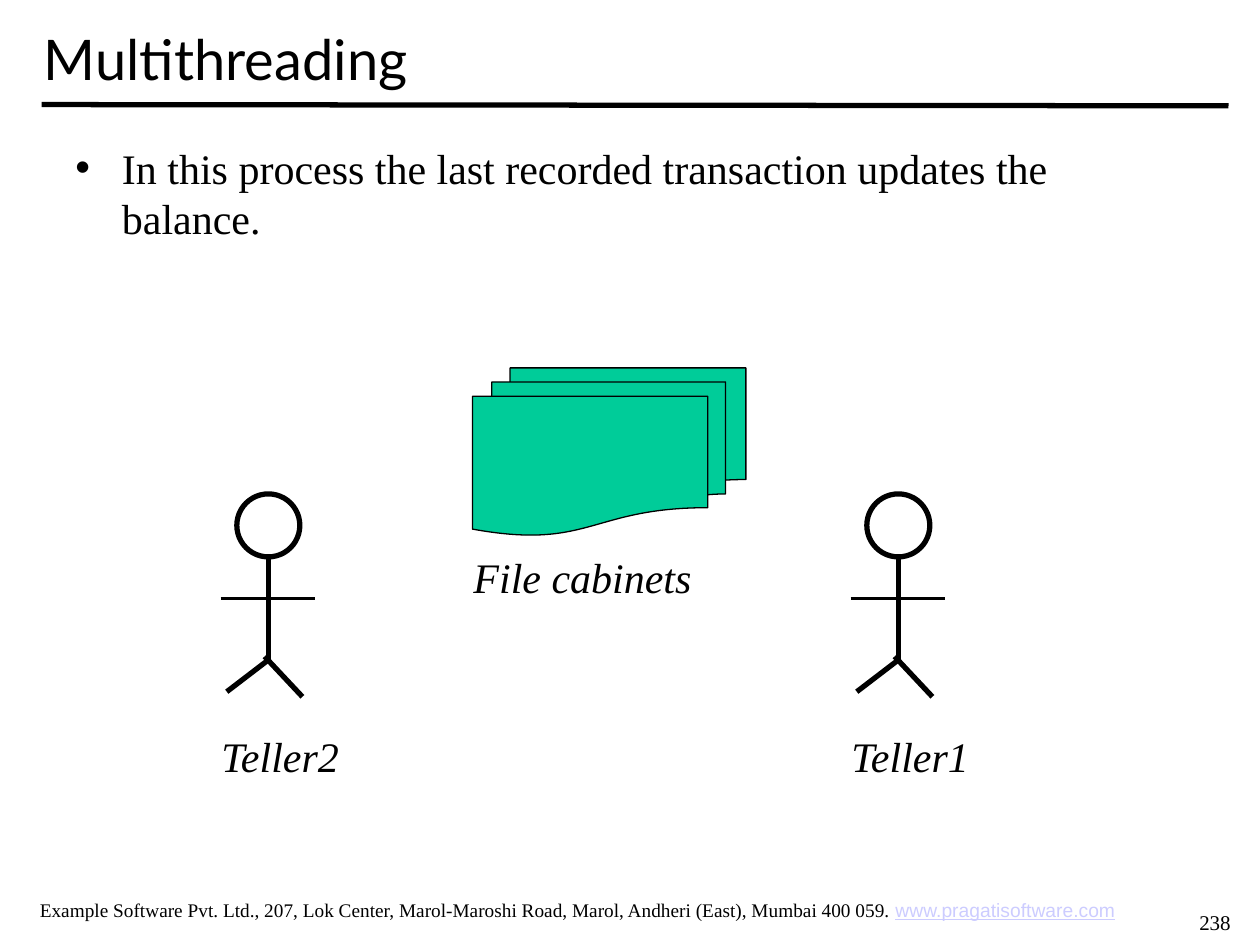
from lxml import etree
from pptx import Presentation
from pptx.dml.color import RGBColor
from pptx.enum.shapes import MSO_CONNECTOR, MSO_SHAPE
from pptx.enum.text import MSO_ANCHOR, PP_ALIGN
from pptx.oxml.ns import qn
from pptx.util import Inches, Pt

STRAIGHT = MSO_CONNECTOR.STRAIGHT
OVAL = MSO_SHAPE.OVAL
MULTIDOCUMENT = MSO_SHAPE.FLOWCHART_MULTIDOCUMENT
MIDDLE, TOP = MSO_ANCHOR.MIDDLE, MSO_ANCHOR.TOP
LEFT, CENTER = PP_ALIGN.LEFT, PP_ALIGN.CENTER
SERIF, SANS, HEADING = "Times New Roman", "Arial", "Lato"
BLACK, WHITE, GREEN, LINK = "000000", "FFFFFF", "00CC99", "CCCCFF"


def color(value):
    return RGBColor.from_string(value)


def set_font(font, size, name=SERIF, ink=BLACK, italic=False):
    font.size = Pt(size)
    font.name = name
    font.italic = italic
    font.color.rgb = color(ink)


def add_text(page, box, text, size, name=SERIF, italic=False, align=LEFT,
             anchor=TOP, wrap=True):
    frame = page.shapes.add_textbox(*map(Inches, box)).text_frame
    frame.word_wrap = wrap
    frame.vertical_anchor = anchor
    para = frame.paragraphs[0]
    para.alignment = align
    para.add_run().text = text
    set_font(para.font, size, name, italic=italic)
    return para


def add_line(shapes, start, end, width):
    line = shapes.add_connector(STRAIGHT, *map(Inches, (*start, *end)))
    line.line.color.rgb = color(BLACK)
    line.line.width = Pt(width)
    etree.SubElement(line._element.spPr, qn("a:effectLst"))


def add_outlined(shapes, kind, box, fill, width):
    shape = shapes.add_shape(kind, *map(Inches, box))
    shape.shadow.inherit = False
    shape.fill.solid()
    shape.fill.fore_color.rgb = color(fill)
    shape.line.color.rgb = color(BLACK)
    shape.line.width = Pt(width)


def add_header(page, box):
    left, top, width, height = box
    add_line(page.shapes, (left + 0.08, 0.83), (left + width, 0.84), 3)
    add_text(page, box, "Multithreading", 32, HEADING, anchor=MIDDLE)


def add_bullet(page, box, text):
    para = add_text(page, box, text, 24)
    props = para._p.get_or_add_pPr()
    indent = Inches(0.37)
    props.set("marL", str(indent))
    props.set("indent", str(-indent))
    # Bullet elements come before the default run properties
    bullet_font = etree.Element(qn("a:buFont"), typeface=SANS)
    bullet = etree.Element(qn("a:buChar"), char="•")
    props.insert(0, bullet_font)
    props.insert(1, bullet)


def add_cabinets(page, left, top):
    add_outlined(page.shapes, MULTIDOCUMENT, (left, top, 2.17, 1.33), GREEN, 0.75)
    add_text(page, (left - 0.09, top + 1.41, 1.93, 0.5), "File cabinets", 24,
             italic=True, wrap=False)


def add_teller(page, left, top, name):
    figure = page.shapes.add_group_shape().shapes
    add_outlined(figure, OVAL, (left + 0.13, top, 0.5, 0.5), WHITE, 3)
    limbs = [
        ((0.38, 0.49), (0.38, 1.32), 3),     # body
        ((0.39, 1.31), (0.05, 1.57), 3),     # left leg
        ((0, 0.83), (0.75, 0.83), 2.25),     # arms
        ((0.65, 1.61), (0.35, 1.29), 3),     # right leg
    ]
    for (x1, y1), (x2, y2), width in limbs:
        add_line(figure, (left + x1, top + y1), (left + x2, top + y2), width)
    add_text(page, (left - 0.09, top + 1.83, 1.16, 0.5), name, 24,
             italic=True, wrap=False)


def add_footer(page, box):
    address = ("Example Software Pvt. Ltd., 207, Lok Center, Marol-Maroshi Road, "
               "Marol, Andheri (East), Mumbai 400 059. ")
    para = add_text(page, box, address, 11, align=CENTER)
    span = para.add_run()
    span.text = "www.pragatisoftware.com"
    set_font(span.font, 11, SANS, LINK)
    span.font.underline = True
    # Page number
    add_text(page, (9.42, 7.17, 0.54, 0.3), "238", 12)


def main():
    deck = Presentation()
    deck.slide_width, deck.slide_height = Inches(10), Inches(7.5)
    page = deck.slides.add_slide(deck.slide_layouts[6])
    add_header(page, (0.25, 0, 9.5, 0.92))
    add_bullet(page, (0.5, 1.08, 8.83, 5.83),
               "In this process the last recorded transaction updates the balance.")
    add_cabinets(page, 3.75, 2.92)
    for left, name in ((1.75, "Teller2"), (6.75, "Teller1")):
        add_teller(page, left, 3.92, name)
    add_footer(page, (0, 7.08, 9.17, 0.29))
    deck.save("out.pptx")


if __name__ == "__main__":
    main()
